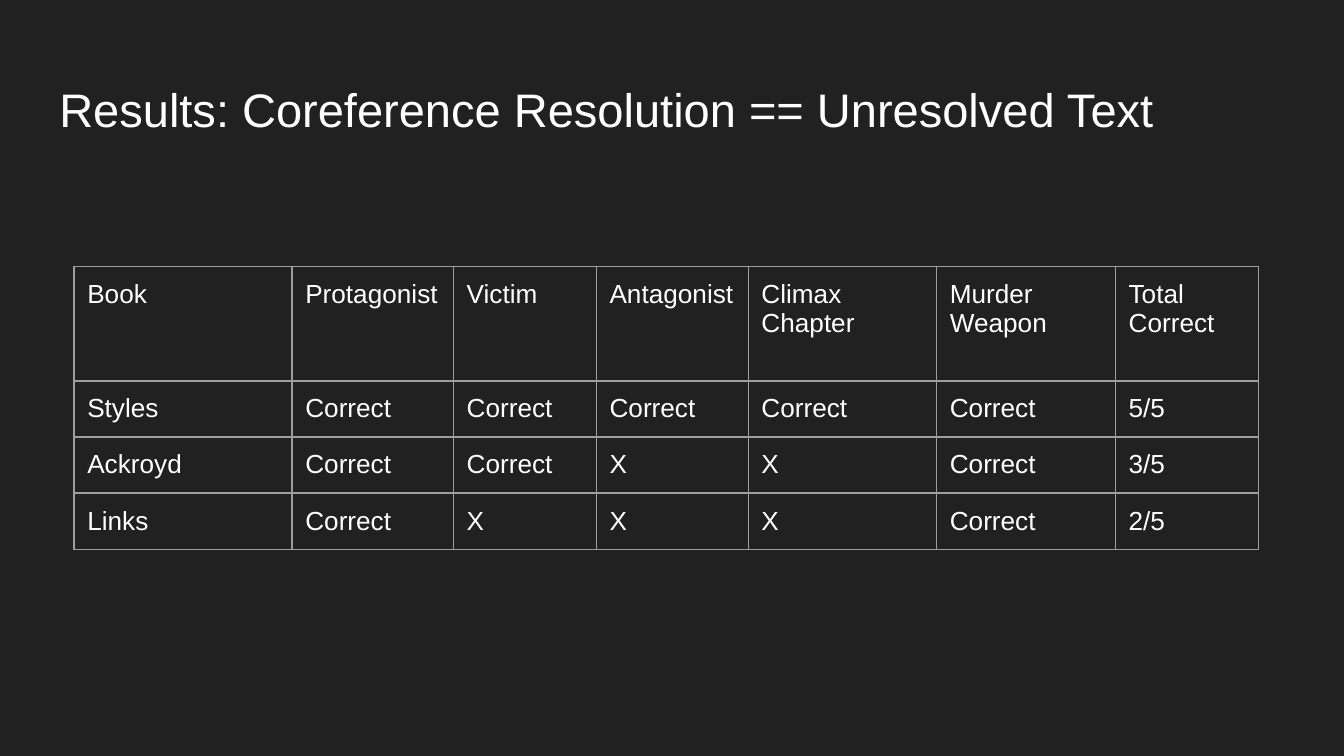
from lxml.etree import SubElement
from pptx import Presentation
from pptx.dml.color import RGBColor
from pptx.enum.text import MSO_ANCHOR, PP_ALIGN
from pptx.oxml.ns import qn
from pptx.util import Cm, Pt

BACKGROUND = RGBColor(0x21, 0x21, 0x21)
TEXT = RGBColor(0xFF, 0xFF, 0xFF)
BORDER = RGBColor(0x9E, 0x9E, 0x9E)

COLUMN_WIDTHS = [4.12, 3.05, 2.7, 2.87, 3.56, 3.38, 2.7]
ROW_HEIGHTS = [2.17, 1.06, 1.06, 1.06]
RESULTS = [
    ["Book", "Protagonist", "Victim", "Antagonist", "Climax Chapter", "Murder Weapon", "Total Correct"],
    ["Styles", "Correct", "Correct", "Correct", "Correct", "Correct", "5/5"],
    ["Ackroyd", "Correct", "Correct", "X", "X", "Correct", "3/5"],
    ["Links", "Correct", "X", "X", "X", "Correct", "2/5"],
]


class SlideBuilder:
    """Draws elements in one style on the current slide."""

    font_name = "Arial"
    inset = Cm(0.25)

    def __init__(self, slide):
        self.slide = slide
        slide.background.fill.solid()
        slide.background.fill.fore_color.rgb = BACKGROUND

    def format_text(self, text_frame, size):
        for paragraph in text_frame.paragraphs:
            paragraph.alignment = PP_ALIGN.LEFT
            paragraph.line_spacing = 1.0
            for run in paragraph.runs:
                run.font.name = self.font_name
                run.font.size = Pt(size)
                run.font.bold = False
                run.font.color.rgb = TEXT

    def set_insets(self, target):
        target.margin_left = target.margin_right = self.inset
        target.margin_top = target.margin_bottom = self.inset

    def add_title(self, text, left, top, width, height):
        title = self.slide.shapes.title
        title.left, title.top = Cm(left), Cm(top)
        title.width, title.height = Cm(width), Cm(height)
        text_frame = title.text_frame
        text_frame.text = text
        text_frame.word_wrap = True
        text_frame.vertical_anchor = MSO_ANCHOR.BOTTOM
        self.set_insets(text_frame)
        self.format_text(text_frame, 25.2)

    def add_borders(self, cell):
        properties = cell._tc.get_or_add_tcPr()
        for side in ("a:lnL", "a:lnR", "a:lnT", "a:lnB"):
            line = SubElement(properties, qn(side), w=str(Pt(0.75)))
            fill = SubElement(line, qn("a:solidFill"))
            SubElement(fill, qn("a:srgbClr"), val=str(BORDER))

    def add_table(self, rows, left, top, column_widths, row_heights):
        frame = self.slide.shapes.add_table(
            len(rows), len(column_widths), Cm(left), Cm(top),
            Cm(sum(column_widths)), Cm(sum(row_heights)))
        table = frame.table
        table.first_row = table.horz_banding = False
        for column, width in zip(table.columns, column_widths):
            column.width = Cm(width)
        for row, height, texts in zip(table.rows, row_heights, rows):
            row.height = Cm(height)
            for cell, text in zip(row.cells, texts):
                cell.text_frame.text = text
                cell.vertical_anchor = MSO_ANCHOR.TOP
                self.set_insets(cell)
                self.add_borders(cell)
                cell.fill.background()
                self.format_text(cell.text_frame, 14)


def main():
    presentation = Presentation()
    presentation.slide_width, presentation.slide_height = Cm(25.4), Cm(14.29)
    slide = presentation.slides.add_slide(presentation.slide_layouts[5])
    builder = SlideBuilder(slide)
    builder.add_title("Results: Coreference Resolution == Unresolved Text", 0.87, 1.24, 23.67, 1.6)
    builder.add_table(RESULTS, 1.4, 5.03, COLUMN_WIDTHS, ROW_HEIGHTS)
    presentation.save("out.pptx")


if __name__ == "__main__":
    main()
